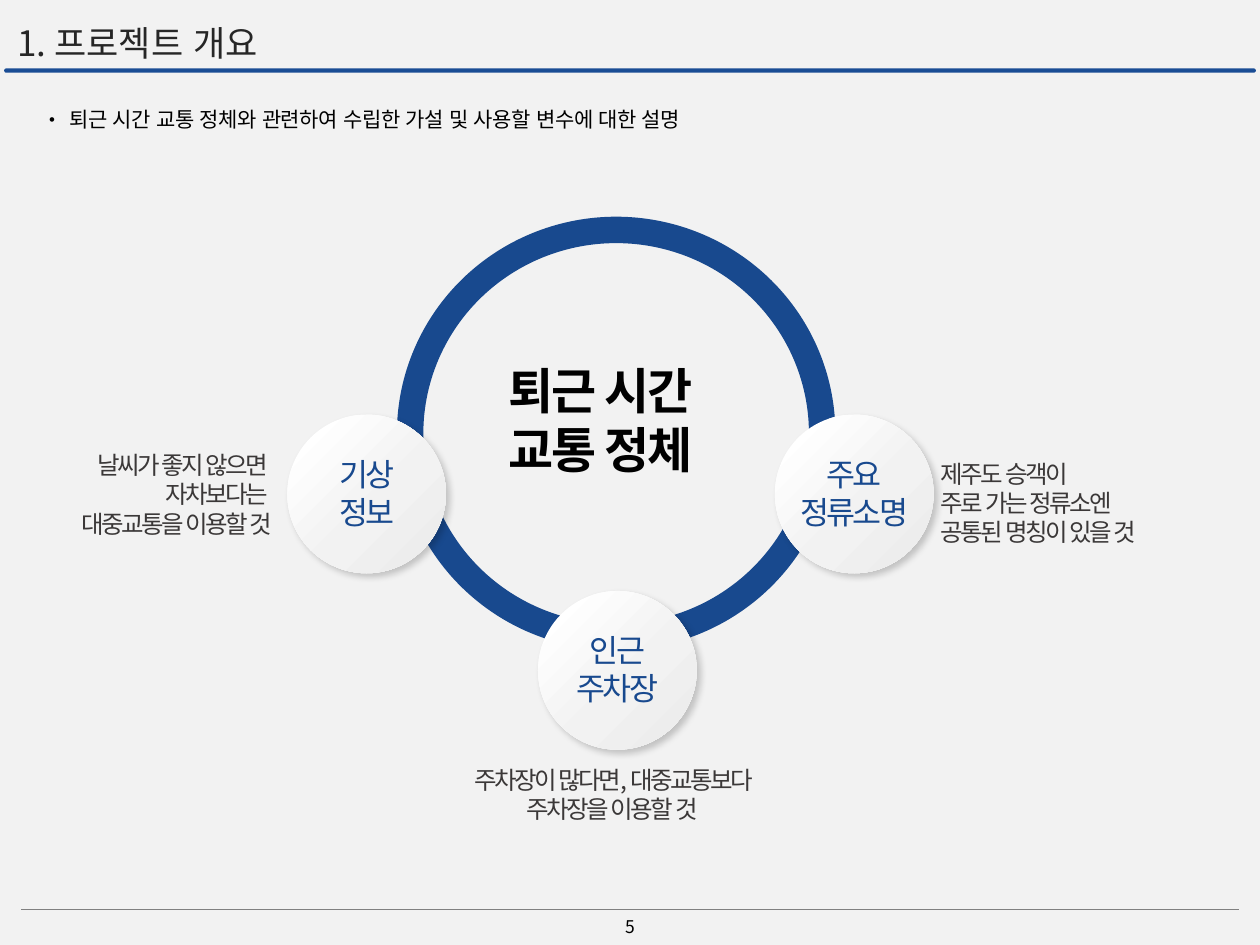
from lxml import etree
from pptx import Presentation
from pptx.dml.color import RGBColor as Rgb
from pptx.enum.shapes import MSO_CONNECTOR as Link, MSO_SHAPE as Kind
from pptx.enum.text import MSO_ANCHOR as Anchor, PP_ALIGN as Align
from pptx.oxml import parse_xml
from pptx.oxml.ns import qn
from pptx.util import Inches, Pt

FONT = "Noto Sans CJK KR"
NS = 'xmlns:a="http://schemas.openxmlformats.org/drawingml/2006/main"'
HUES = {
    "page": "F2F2F2", "bar": "1A4D95", "ring": "18498E", "rule": "808080",
    "title": "262626", "note": "3B3838", "black": "000000",
}
STOPS = [(12, "FFFFFF"), (57, "F2F2F2"), (100, "EAEAEA")]


def add_text(box, lines, size, hue, align=Align.LEFT, gap=0, bold=False):
    """Add a text box with one paragraph per line; gap is letter spacing in points."""
    frame = slide.shapes.add_textbox(*map(Inches, box)).text_frame
    frame.word_wrap = True
    frame.text = "\n".join(lines)
    for para in frame.paragraphs:
        para.alignment = align
        font = para.font
        font.name, font.size, font.bold = FONT, Pt(size), bold
        font.color.rgb = Rgb.from_string(HUES[hue])
        for run in para.runs:
            props = run._r.get_or_add_rPr()
            props.set("lang", "ko-KR")
            props.set("spc", str(round(gap * 100)))
            etree.SubElement(props, qn("a:ea")).set("typeface", FONT)
    return frame


def add_form(kind, box, hue):
    """Add a plain filled shape without line or shadow."""
    form = slide.shapes.add_shape(kind, *map(Inches, box))
    form.shadow.inherit = False
    form.fill.solid()
    form.fill.fore_color.rgb = Rgb.from_string(HUES[hue])
    form.line.fill.background()
    return form


deck = Presentation()
deck.slide_width, deck.slide_height = Inches(10), Inches(7.5)
slide = deck.slides.add_slide(deck.slide_layouts[6])
slide.background.fill.solid()
slide.background.fill.fore_color.rgb = Rgb.from_string(HUES["page"])

# Header bar and title
bar = add_form(Kind.ROUNDED_RECTANGLE, (0.04, 0.55, 9.92, 0.02), "bar")
bar.adjustments[0] = 0.5
bar.line.color.rgb = Rgb.from_string(HUES["bar"])
bar.line.width = Pt(1)
title = add_text((0.04, 0.17, 8.62, 0.38), ["1. 프로젝트 개요"], 20, "title")
title.vertical_anchor = Anchor.MIDDLE
title.paragraphs[0].line_spacing = 0.9

# Footer rule and page number
rule = slide.shapes.add_connector(
    Link.STRAIGHT, Inches(0.17), Inches(7.22), Inches(9.83), Inches(7.22))
rule.line.color.rgb = Rgb.from_string(HUES["rule"])
rule.line.width = Pt(0.5)
etree.SubElement(rule._element.spPr, qn("a:effectLst"))
page = add_text((3.88, 7.15, 2.25, 0.4), ["5"], 10, "black", Align.CENTER)
page.vertical_anchor = Anchor.MIDDLE

# Lead bullet
lead = add_text(
    (0.39, 0.78, 9.08, 0.47),
    ["퇴근 시간 교통 정체와 관련하여 수립한 가설 및 사용할 변수에 대한 설명"],
    12, "black", gap=-0.2)
lead.margin_left = lead.margin_right = lead.margin_top = lead.margin_bottom = 0
para = lead.paragraphs[0]
para.line_spacing = 1.35
para.space_before = para.space_after = Pt(1)
props = para._p.get_or_add_pPr()
props.set("marL", str(Inches(0.16)))
props.set("indent", str(Inches(-0.16)))
marks = [
    f'<a:buSzPct {NS} val="80000"/>',
    f'<a:buFont {NS} typeface="Arial"/>',
    f'<a:buChar {NS} char="•"/>',
]
for mark in marks:
    props.insert(list(props).index(props.find(qn("a:defRPr"))), parse_xml(mark))

# Ring and its core topic
ring = add_form(Kind.DONUT, (3.15, 1.72, 3.48, 3.44), "ring")
ring.adjustments[0] = 0.061
add_text((3.94, 2.81, 1.91, 1.04), ["퇴근 시간", "교통 정체"], 28, "black",
         gap=-1.5, bold=True)

# Balls on the ring: left, top, label
BALL = 1.26
WIDE = 1.44
balls = [
    (2.28, 3.29, ["기상", "정보"]),
    (4.27, 4.69, ["인근", "주차장"]),
    (6.15, 3.29, ["주요", "정류소명"]),
]
stops = "".join(
    f'<a:gs pos="{pos * 1000}"><a:srgbClr val="{hue}"/></a:gs>' for pos, hue in STOPS)
blend = (f'<a:gradFill {NS} rotWithShape="1"><a:gsLst>{stops}</a:gsLst>'
         '<a:lin ang="2700000" scaled="0"/></a:gradFill>')
shade = (f'<a:outerShdw {NS} blurRad="{Pt(4)}" dist="{Pt(3)}" dir="2700000" '
         'algn="tl" rotWithShape="0"><a:srgbClr val="000000">'
         '<a:alpha val="20000"/></a:srgbClr></a:outerShdw>')
for left, top, label in balls:
    ball = add_form(Kind.FLOWCHART_CONNECTOR, (left, top, BALL, BALL), "page")
    look = ball._element.spPr
    look.replace(look.find(qn("a:solidFill")), parse_xml(blend))
    look.find(qn("a:effectLst")).append(parse_xml(shade))
    add_text((left + (BALL - WIDE) / 2, top + 0.27, WIDE, 0.71), label, 18, "ring",
             Align.CENTER, -1.5)

# Hypothesis beside each ball
notes = [
    ((0.1, 3.52, 2.16, 0.81), Align.RIGHT,
     ["날씨가 좋지 않으면 ", "자차보다는 ", "대중교통을 이용할 것"]),
    ((3.38, 6.02, 2.96, 0.57), Align.CENTER,
     ["주차장이 많다면, 대중교통보다 주차장을 이용할 것"]),
    ((7.37, 3.59, 2.53, 0.81), Align.LEFT,
     ["제주도 승객이\v주로 가는 정류소엔\v공통된 명칭이 있을 것"]),
]
for box, align, lines in notes:
    add_text(box, lines, 14, "note", align, -1.5)

deck.save("out.pptx")
